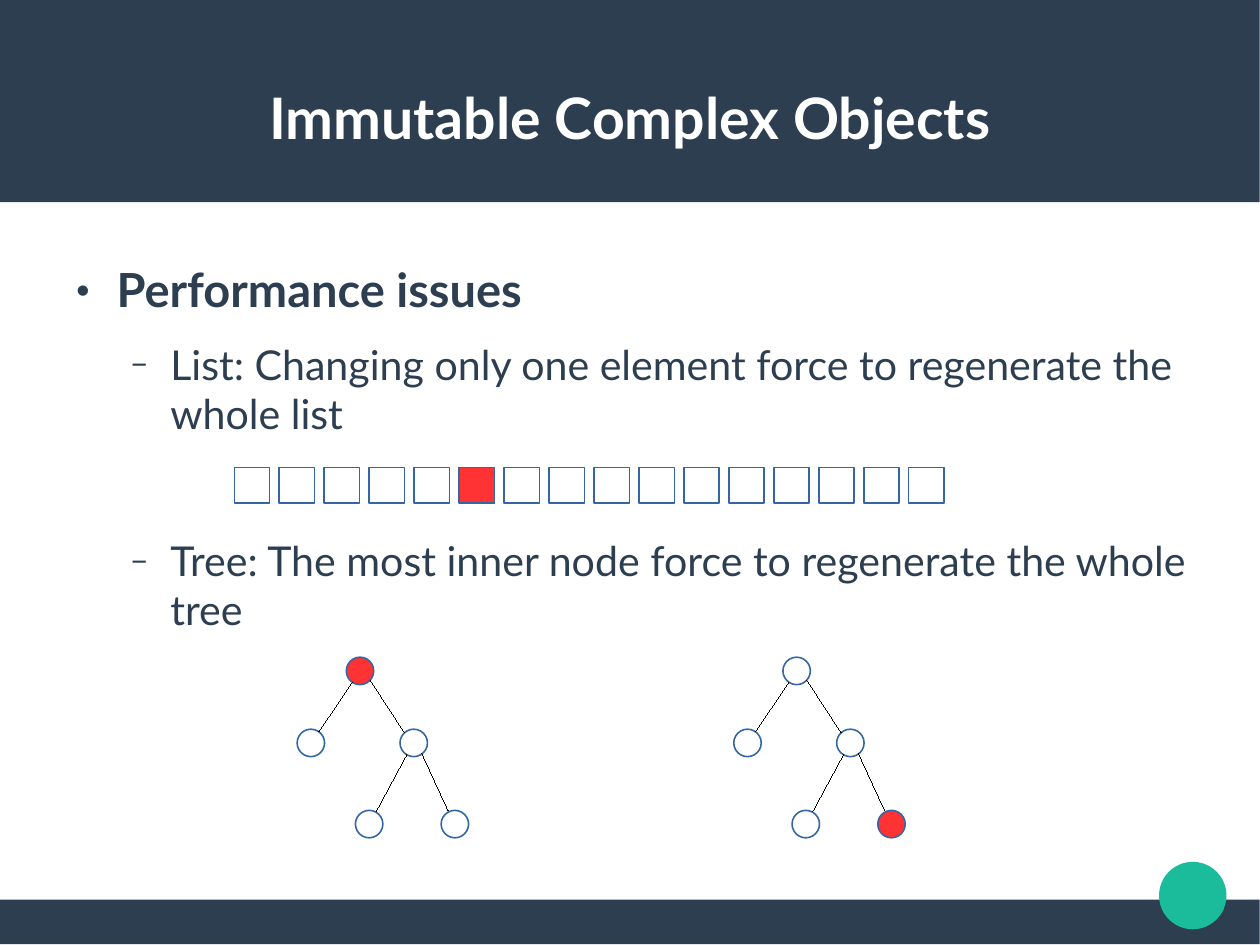
from lxml import etree
from pptx import Presentation
from pptx.dml.color import RGBColor
from pptx.enum.shapes import MSO_CONNECTOR, MSO_SHAPE
from pptx.enum.text import MSO_ANCHOR, PP_ALIGN
from pptx.oxml.ns import qn
from pptx.util import Cm, Inches, Pt

COLORS = {
    "navy": "2C3E50",
    "teal": "1ABC9C",
    "white": "FFFFFF",
    "red": "FF3333",
    "outline": "3465A4",
    "edge": "000000",
}

deck = Presentation()
deck.slide_width, deck.slide_height = Cm(28), Cm(21)
page = deck.slides.add_slide(deck.slide_layouts[6])


def add_figure(kind, left, top, width, height, fill=None, line=None):
    figure = page.shapes.add_shape(
        kind, Inches(left), Inches(top), Inches(width), Inches(height))
    figure.shadow.inherit = False
    if fill:
        figure.fill.solid()
        figure.fill.fore_color.rgb = RGBColor.from_string(COLORS[fill])
    else:
        figure.fill.background()
    if line:
        figure.line.color.rgb = RGBColor.from_string(COLORS[line])
        figure.line.width = Pt(1)
    else:
        figure.line.fill.background()


def add_text_frame(left, top, width, height):
    """Add a wrapping text box without margins and return its text frame."""
    box = page.shapes.add_textbox(
        Inches(left), Inches(top), Inches(width), Inches(height))
    frame = box.text_frame
    frame.word_wrap = True
    frame.margin_left = frame.margin_right = 0
    frame.margin_top = frame.margin_bottom = 0
    return frame


# Page decoration
add_figure(MSO_SHAPE.RECTANGLE, 0, 7.87, 11.02, 0.39, "navy")
add_figure(MSO_SHAPE.RECTANGLE, 0, 0, 11.02, 1.77, "navy")
add_figure(MSO_SHAPE.OVAL, 10.14, 7.54, 0.59, 0.59, "teal")

# Title
title = add_text_frame(0.55, 0.11, 9.92, 1.82)
title.vertical_anchor = MSO_ANCHOR.MIDDLE
para = title.paragraphs[0]
para.text = "Immutable Complex Objects"
para.alignment = PP_ALIGN.CENTER
para.font.name, para.font.size, para.font.bold = "Lato", Pt(36), True
para.font.color.rgb = RGBColor.from_string(COLORS["white"])

# Outline: text, level, space before
POINTS = [
    ("Performance issues", 0, 0),
    ("List: Changing only one element force to regenerate the whole list", 1, 0),
    ("Tree: The most inner node force to regenerate the whole tree", 1, 50),
]
# Per level: bullet, bullet size in %, left margin, text size, space after, bold
LEVELS = [
    ("●", 45, 0.47, 29.6, 14.1, True),
    ("−", 75, 0.94, 25.9, 11.3, False),
]
body = add_text_frame(0.55, 2.28, 9.92, 3.31)
for index, (text, level, before) in enumerate(POINTS):
    bullet, percent, margin, size, after, bold = LEVELS[level]
    para = body.add_paragraph() if index else body.paragraphs[0]
    para.text = text
    para.level = level
    props = para._p.get_or_add_pPr()
    props.set("marL", str(Inches(margin)))
    props.set("indent", str(Inches(-0.35)))
    bullet_color = etree.SubElement(props, qn("a:buClr"))
    etree.SubElement(bullet_color, qn("a:srgbClr"), val=COLORS["navy"])
    etree.SubElement(props, qn("a:buSzPct"), val=str(percent * 1000))
    etree.SubElement(props, qn("a:buFont"), typeface="Lato")
    etree.SubElement(props, qn("a:buChar"), char=bullet)
    para.space_before, para.space_after = Pt(before), Pt(after)
    para.font.name, para.font.size, para.font.bold = "Lato", Pt(size), bold
    para.font.color.rgb = RGBColor.from_string(COLORS["navy"])

# List with one changed element
CELL_COUNT, CHANGED_CELL, CELL_PITCH = 16, 5, 5.9 / 15
for cell in range(CELL_COUNT):
    add_figure(MSO_SHAPE.RECTANGLE, 2.05 + cell * CELL_PITCH, 4.09, 0.31, 0.31,
               "red" if cell == CHANGED_CELL else None, "outline")

# Trees: node corners and edge ends relative to the root's corner
NODES = [(0, 0), (0.83, 1.34), (0.08, 1.34), (0.47, 0.63), (-0.43, 0.63)]
EDGES = [
    (-0.24, 0.65, 0.05, 0.22),
    (0.51, 0.66, 0.21, 0.2),
    (0.26, 1.35, 0.53, 0.85),
    (0.89, 1.34, 0.66, 0.84),
]
TREE_TOP = 5.75
for tree_left, changed_node in [(3.03, 0), (6.85, 1)]:
    for index, (x, y) in enumerate(NODES):
        add_figure(MSO_SHAPE.OVAL, tree_left + x, TREE_TOP + y, 0.24, 0.24,
                   "red" if index == changed_node else None, "outline")
    for x1, y1, x2, y2 in EDGES:
        edge = page.shapes.add_connector(
            MSO_CONNECTOR.STRAIGHT,
            Inches(tree_left + x1), Inches(TREE_TOP + y1),
            Inches(tree_left + x2), Inches(TREE_TOP + y2))
        edge.line.color.rgb = RGBColor.from_string(COLORS["edge"])
        edge.line.width = Pt(0.01)
        etree.SubElement(edge._element.spPr, qn("a:effectLst"))

deck.save("out.pptx")
